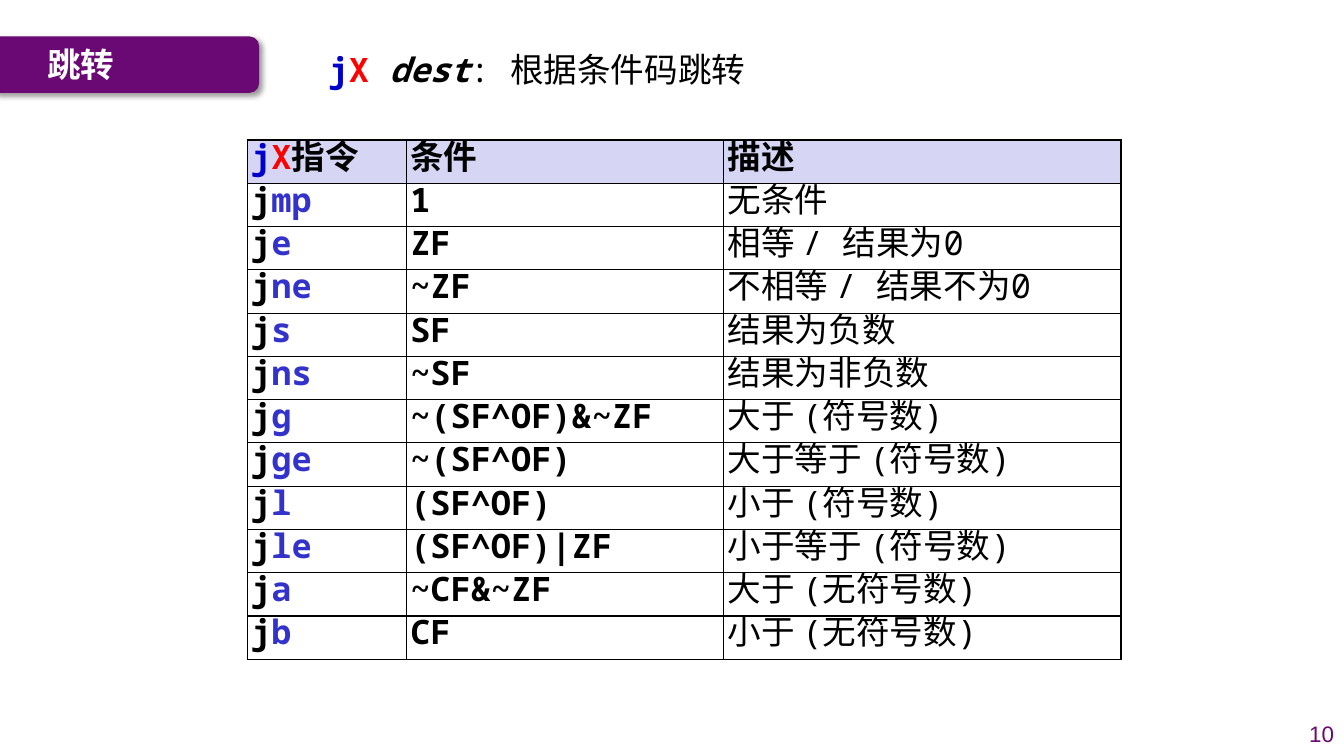
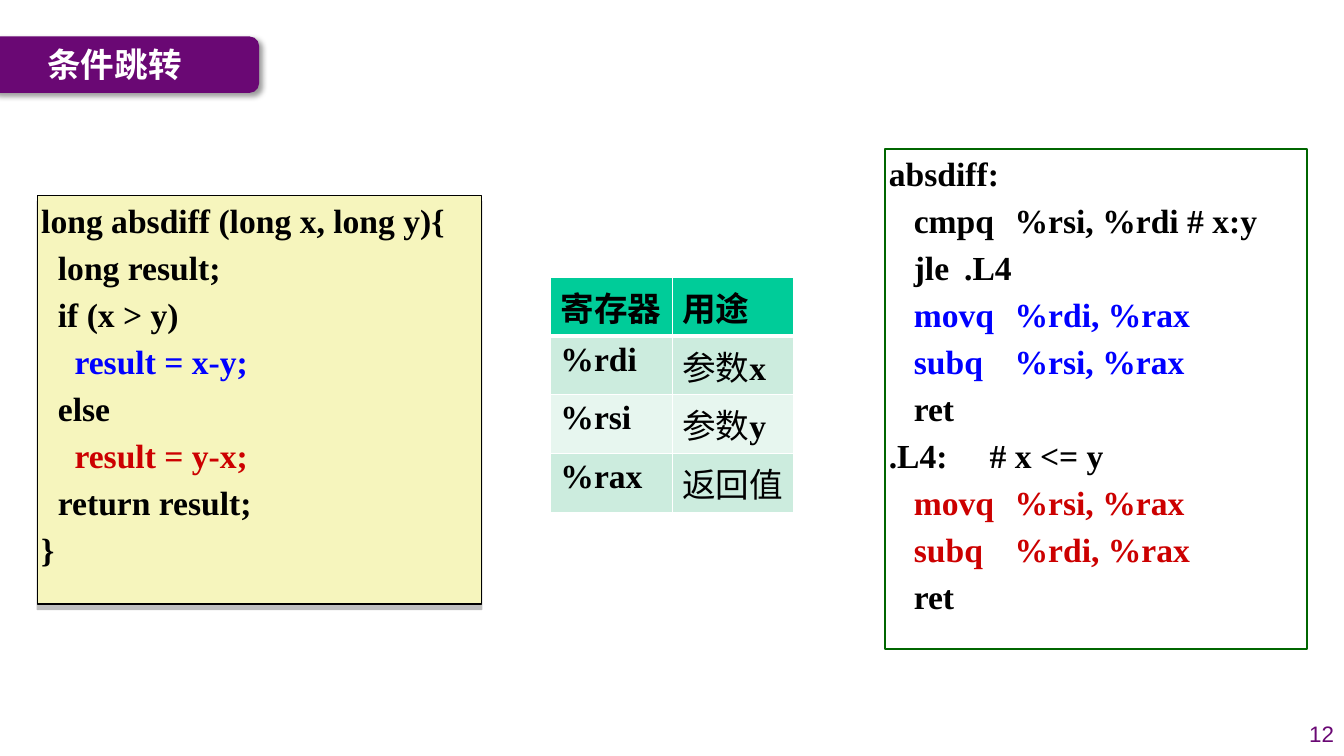
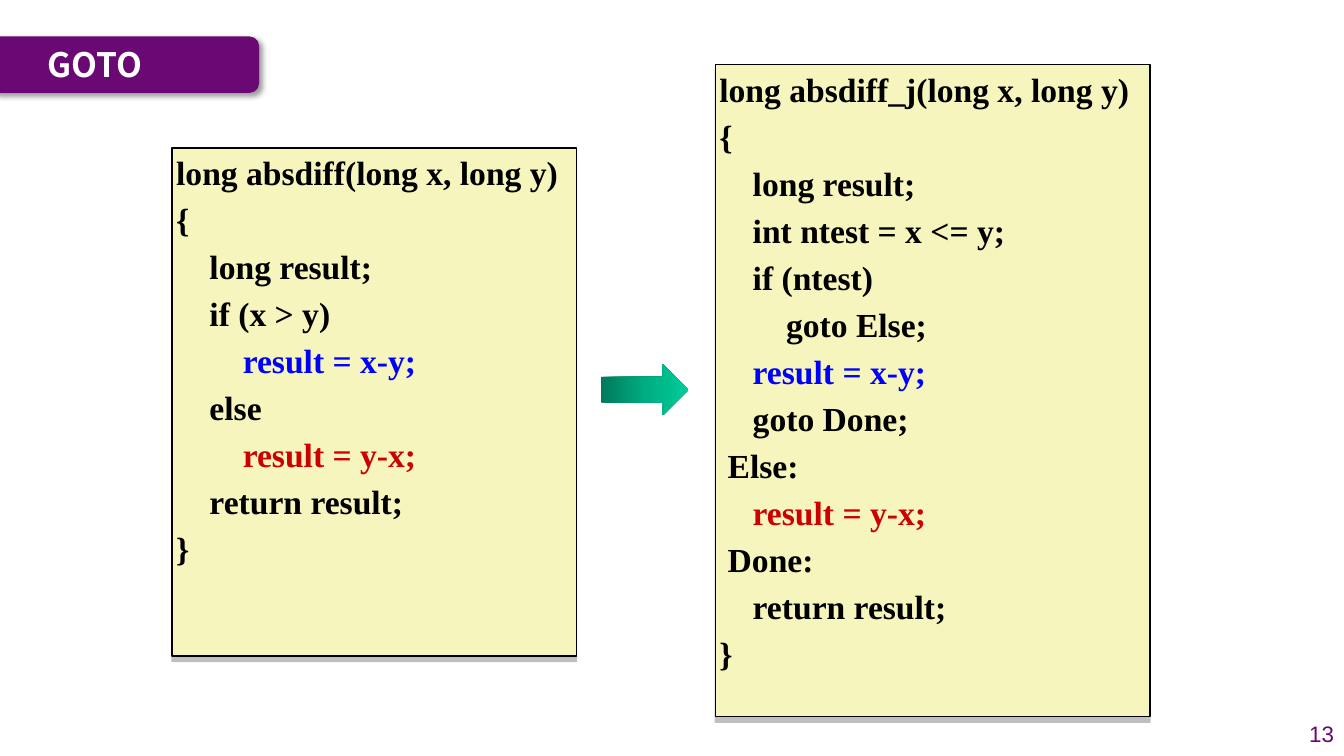
from collections import namedtuple
from copy import deepcopy

from lxml.etree import SubElement
from pptx import Presentation
from pptx.dml.color import RGBColor
from pptx.enum.shapes import MSO_SHAPE as Shape
from pptx.enum.text import MSO_ANCHOR as Anchor, MSO_AUTO_SIZE as AutoSize, PP_ALIGN as Align
from pptx.oxml.ns import qn
from pptx.util import Cm, Pt

PURPLE, WHITE, BLACK = "6A0874", "FFFFFF", "000000"
BLUE, RED = "0000FF", "CC0000"
KEY_BLUE, KEY_RED, SUFFIX_BLUE = "0000CC", "FF0000", "3333CC"
CREAM, LAVENDER, DARK_GREEN = "F6F5BD", "D6D6F4", "006600"
GREEN, MINT, PALE_MINT = "00CC99", "CCECDE", "E7F6EF"

SANS, MONO, SERIF, CHINESE = "Arial", "Noto Sans Mono", "Times New Roman", "Noto Sans CJK SC"
TITLE_AND_BODY, TITLE_ONLY = 1, 5
CODE_INSET = 0.1
SPACE_WIDTH = 0.21
OPERAND_STOP, TARGET_STOP, REMARK_STOP = 3.57, 2.6, 2.95

Code = namedtuple("Code", "text indent colour stop", defaults=(0, BLACK, None))

JUMPS = [
    ("mp", "1", "无条件"),
    ("e", "ZF", "相等 / 结果为0"),
    ("ne", "~ZF", "不相等 / 结果不为0"),
    ("s", "SF", "结果为负数"),
    ("ns", "~SF", "结果为非负数"),
    ("g", "~(SF^OF)&~ZF", "大于 (符号数)"),
    ("ge", "~(SF^OF)", "大于等于 (符号数)"),
    ("l", "(SF^OF)", "小于 (符号数)"),
    ("le", "(SF^OF)|ZF", "小于等于 (符号数)"),
    ("a", "~CF&~ZF", "大于 (无符号数)"),
    ("b", "CF", "小于 (无符号数)"),
]

REGISTERS = [("%rdi", "参数", "x"), ("%rsi", "参数", "y"), ("%rax", "返回值", "")]

ABSDIFF = [
    Code("long absdiff (long x, long y){"),
    Code("long result;", 2),
    Code("if (x > y)", 2),
    Code("result = x-y;", 4, BLUE),
    Code("else", 2),
    Code("result = y-x;", 4, RED),
    Code("return result;", 2),
    Code("}"),
]

ASSEMBLY = [
    Code("absdiff:"),
    Code("cmpq\t%rsi, %rdi # x:y", 3, BLACK, OPERAND_STOP),
    Code("jle\t.L4", 3, BLACK, TARGET_STOP),
    Code("movq\t%rdi, %rax", 3, BLUE, OPERAND_STOP),
    Code("subq\t%rsi, %rax", 3, BLUE, OPERAND_STOP),
    Code("ret", 3),
    Code(".L4:\t# x <= y", 0, BLACK, REMARK_STOP),
    Code("movq\t%rsi, %rax", 3, RED, OPERAND_STOP),
    Code("subq\t%rdi, %rax", 3, RED, OPERAND_STOP),
    Code("ret", 3),
]

ABSDIFF_OPEN = [
    Code("long absdiff(long x, long y)"),
    Code("{"),
    Code("long result;", 4),
    Code("if (x > y)", 4),
    Code("result = x-y;", 8, BLUE),
    Code("else", 4),
    Code("result = y-x;", 8, RED),
    Code("return result;", 4),
    Code("}"),
]

ABSDIFF_GOTO = [
    Code("long absdiff_j(long x, long y)"),
    Code("{"),
    Code("long result;", 4),
    Code("int ntest = x <= y;", 4),
    Code("if (ntest)", 4),
    Code("goto Else;", 8),
    Code("result = x-y;", 4, BLUE),
    Code("goto Done;", 4),
    Code("Else:", 1),
    Code("result = y-x;", 4, RED),
    Code("Done:", 1),
    Code("return result;", 4),
    Code("}"),
]


def rgb(value):
    return RGBColor.from_string(value)


def lengths(*values):
    return [Cm(value) for value in values]


def place(box, left, top, width, height):
    box.left, box.top, box.width, box.height = lengths(left, top, width, height)


def set_margins(box, inset):
    box.margin_left = box.margin_right = box.margin_top = box.margin_bottom = Cm(inset)


def add_span(para, text, font=SERIF, colour=BLACK, size=24, bold=True, italic=False):
    span = para.add_run()
    span.text = text
    span.font.name, span.font.size = font, Pt(size)
    span.font.bold, span.font.italic = bold, italic
    span.font.color.rgb = rgb(colour)
    SubElement(span.font._element, qn("a:ea"), typeface=CHINESE)


def set_indent(para, left, stop=None):
    properties = para._p.get_or_add_pPr()
    properties.set("marL", str(Cm(left)))
    properties.set("indent", "0")
    SubElement(properties, qn("a:buNone"))
    if stop:
        tabs = SubElement(properties, qn("a:tabLst"))
        SubElement(tabs, qn("a:tab"), pos=str(Cm(stop)), algn="l")


def add_panel(page, kind, place_at, fill=None, line=None):
    panel = page.shapes.add_shape(kind, *lengths(*place_at))
    panel.shadow.inherit = False
    if fill:
        panel.fill.solid()
        panel.fill.fore_color.rgb = rgb(fill)
    else:
        panel.fill.background()
    if line:
        panel.line.color.rgb = rgb(line)
        panel.line.width = Pt(1)
    else:
        panel.line.fill.background()
    return panel


def add_shadow(panel, colour, alpha, blur, distance, angle):
    effects = panel.element.spPr.find(qn("a:effectLst"))
    shadow = SubElement(effects, qn("a:outerShdw"), blurRad=str(Pt(blur)), dist=str(Pt(distance)),
                        dir=str(angle * 60000), algn="tl", rotWithShape="0")
    tint = SubElement(shadow, qn("a:srgbClr"), val=colour)
    SubElement(tint, qn("a:alpha"), val=str(alpha * 1000))


def add_page(deck, layout, heading, number):
    page = deck.slides.add_slide(deck.slide_layouts[layout])
    band = add_panel(page, Shape.ROUNDED_RECTANGLE, (-0.28, 0.92, 6.81, 1.42), PURPLE)
    add_shadow(band, BLACK, 40, 4, 3, 45)
    title = page.shapes.title
    band.element.addnext(title.element)
    place(title, 0.94, 0.91, 5.31, 1.4)
    title.text_frame.vertical_anchor = Anchor.MIDDLE
    title.text_frame.auto_size = AutoSize.NONE
    para = title.text_frame.paragraphs[0]
    para.alignment = Align.LEFT
    add_span(para, heading, CHINESE, WHITE)

    label = page.shapes.add_textbox(*lengths(32.47, 18.03, 1.4, 0.89)).text_frame
    label.word_wrap = True
    label.vertical_anchor = Anchor.MIDDLE
    label.paragraphs[0].alignment = Align.RIGHT
    add_span(label.paragraphs[0], str(number), SANS, PURPLE, 16, False)
    return page


def add_code(page, place_at, lines, fill=CREAM, line=BLACK):
    panel = add_panel(page, Shape.RECTANGLE, place_at, fill, line)
    if fill:
        add_shadow(panel, "808080", 50, 0, 4, 90)
    frame = panel.text_frame
    frame.word_wrap = True
    frame.vertical_anchor = Anchor.TOP
    set_margins(frame, CODE_INSET)
    for index, code in enumerate(lines):
        para = frame.add_paragraph() if index else frame.paragraphs[0]
        para.alignment = Align.LEFT
        para.space_before = Pt(4.8)
        set_indent(para, code.indent * SPACE_WIDTH, code.stop)
        add_span(para, code.text, colour=code.colour)


def add_grid(page, left, top, widths, row_height, row_count):
    frame = page.shapes.add_table(row_count, len(widths), *lengths(
        left, top, sum(widths), row_height * row_count))
    table = frame.table
    table.first_row = table.horz_banding = False
    for column, width in zip(table.columns, widths):
        column.width = Cm(width)
    for row in table.rows:
        row.height = Cm(row_height)
    return table


def format_cell(cell, fill, border, top=1, bottom=1):
    if fill:
        cell.fill.solid()
        cell.fill.fore_color.rgb = rgb(fill)
    else:
        cell.fill.background()
    properties = cell._tc.get_or_add_tcPr()
    sides = {"lnL": 1, "lnR": 1, "lnT": top, "lnB": bottom}
    for index, (side, width) in enumerate(sides.items()):
        edge = SubElement(properties, qn("a:" + side), w=str(Pt(width)))
        SubElement(SubElement(edge, qn("a:solidFill")), qn("a:srgbClr"), val=border)
        properties.insert(index, edge)


def add_jump_table(page):
    rows = [([("j", KEY_BLUE, True), ("X", KEY_RED, True), ("指令", BLACK, True)],
             [("条件", BLACK, True)], [("描述", BLACK, True)])]
    rows += [([("j", BLACK, True), (suffix, SUFFIX_BLUE, True)],
              [(condition, BLACK, True)], [(meaning, BLACK, False)])
             for suffix, condition, meaning in JUMPS]
    table = add_grid(page, 6.23, 3.53, (4.01, 8, 10.01), 1.09, len(rows))
    for row_index, row in enumerate(rows):
        for column_index, spans in enumerate(row):
            cell = table.cell(row_index, column_index)
            set_margins(cell, CODE_INSET)
            format_cell(cell, None if row_index else LAVENDER, BLACK)
            para = cell.text_frame.paragraphs[0]
            para.line_spacing = Pt(25)
            for text, colour, bold in spans:
                add_span(para, text, MONO, colour, bold=bold)


def add_register_table(page):
    rows = [([("寄存器", True)], [("用途", True)])]
    rows += [([(register, True)], [(usage, False)] + ([(name, True)] if name else []))
             for register, usage, name in REGISTERS]
    fills = (GREEN, MINT, PALE_MINT, MINT)
    table = add_grid(page, 13.87, 6.99, (3.07, 3.07), 1.48, len(rows))
    for row_index, (row, fill) in enumerate(zip(rows, fills)):
        for column_index, spans in enumerate(row):
            cell = table.cell(row_index, column_index)
            format_cell(cell, fill, WHITE, top=3 if row_index == 1 else 1,
                        bottom=1 if row_index else 3)
            para = cell.text_frame.paragraphs[0]
            para.space_before = Pt(6)
            for text, bold in spans:
                add_span(para, text, bold=bold)


def add_gradient_arrow(page):
    arrow = add_panel(page, Shape.RIGHT_ARROW, (15.14, 9.17, 2.21, 1.3))
    arrow.fill.gradient()
    arrow.fill.gradient_angle = 0
    stop_list = arrow.element.spPr.find(".//" + qn("a:gsLst"))
    stop_list.insert(1, deepcopy(stop_list[0]))
    shades = ((0, "00795B"), (0.5, "00AC81"), (1, GREEN))
    for stop, (position, colour) in zip(arrow.fill.gradient_stops, shades):
        stop.position = position
        stop.color.rgb = rgb(colour)


def build_jumps(deck):
    page = add_page(deck, TITLE_AND_BODY, "跳转", 10)
    body = page.placeholders[1]
    place(body, 8.03, 0.89, 12.98, 1.7)
    body.text_frame.auto_size = AutoSize.NONE
    para = body.text_frame.paragraphs[0]
    para.line_spacing = 1.2
    para.space_before = Pt(5)
    set_indent(para, 0)
    add_span(para, "j", MONO, KEY_BLUE)
    add_span(para, "X ", MONO, KEY_RED)
    add_span(para, "dest", MONO, italic=True)
    add_span(para, ": 根据条件码跳转", MONO, bold=False)
    add_jump_table(page)


def build_conditional(deck):
    page = add_page(deck, TITLE_ONLY, "条件跳转", 12)
    add_code(page, (0.94, 4.93, 11.2, 10.29), ABSDIFF)
    add_code(page, (22.3, 3.76, 10.64, 12.6), ASSEMBLY, None, DARK_GREEN)
    add_register_table(page)


def build_goto(deck):
    page = add_page(deck, TITLE_ONLY, "GOTO", 13)
    add_code(page, (4.34, 3.73, 10.19, 12.8), ABSDIFF_OPEN)
    add_code(page, (18.03, 1.63, 10.95, 16.43), ABSDIFF_GOTO)
    add_gradient_arrow(page)


def main():
    deck = Presentation()
    deck.slide_width, deck.slide_height = lengths(33.87, 19.05)
    build_jumps(deck)
    build_conditional(deck)
    build_goto(deck)
    deck.save("out.pptx")


if __name__ == "__main__":
    main()
